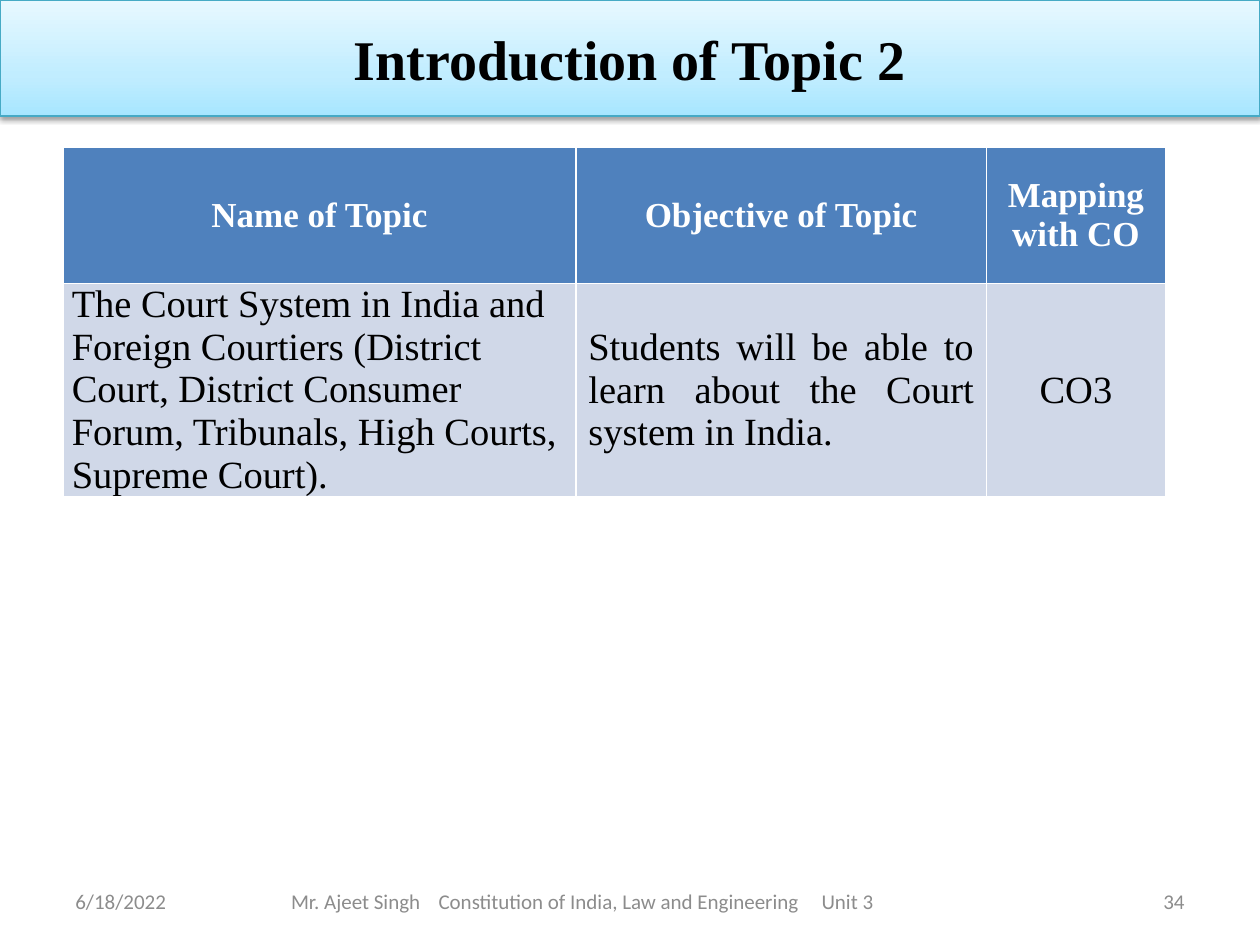
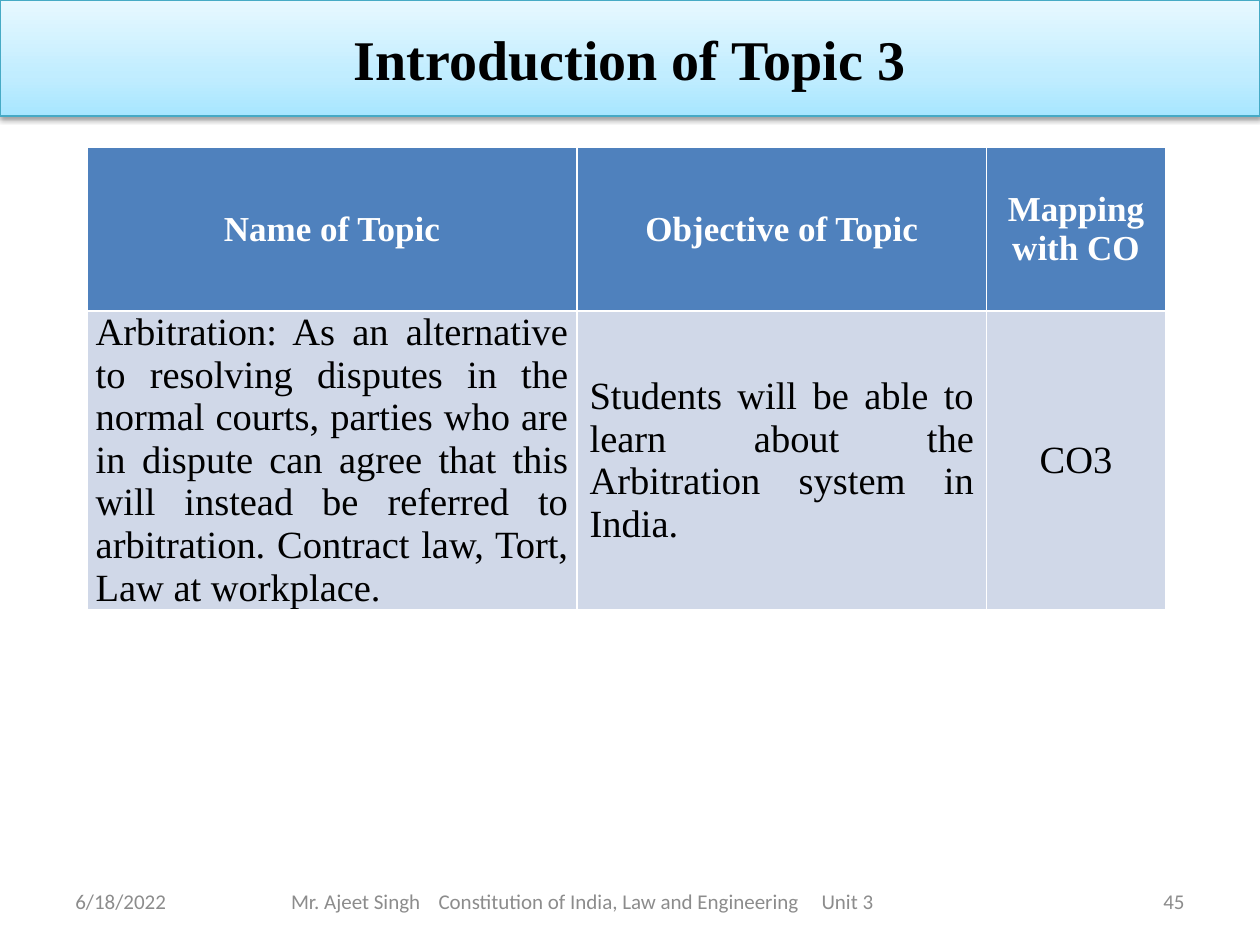
from dataclasses import dataclass

from lxml import etree
from pptx import Presentation
from pptx.dml.color import RGBColor
from pptx.enum.text import MSO_ANCHOR, PP_ALIGN
from pptx.oxml import parse_xml
from pptx.oxml.ns import nsdecls, qn
from pptx.util import Inches, Pt

LEFT, CENTER, RIGHT, JUSTIFY = (
    PP_ALIGN.LEFT, PP_ALIGN.CENTER, PP_ALIGN.RIGHT, PP_ALIGN.JUSTIFY)
TOP, MIDDLE = MSO_ANCHOR.TOP, MSO_ANCHOR.MIDDLE
TITLE_ONLY_LAYOUT = 5


@dataclass(frozen=True)
class Theme:
    serif: str = "Times New Roman"
    sans: str = "Calibri"
    black: str = "000000"
    white: str = "FFFFFF"
    header_fill: str = "4F81BD"
    body_fill: str = "D0D8E8"
    footer_gray: str = "8C8C8C"
    band_line: str = "46AAC5"
    band_stops: tuple = ((0, "A7E6FF"), (35, "C1EDFF"), (100, "E7F8FF"))
    title_size: int = 32
    header_size: int = 20
    body_size: int = 22
    footer_size: int = 12


THEME = Theme()
TABLE_TOP, TABLE_RIGHT = 1.17, 9.25
BODY_ROW_HEIGHT = 1.42
FOOTER_TOP, FOOTER_HEIGHT = 6.95, 0.4
HEADERS = ("Name of Topic", "Objective of Topic", "Mapping with CO")
FOOTER_DATE = "6/18/2022"
FOOTER_TEXT = "Mr. Ajeet Singh\tConstitution of India, Law and Engineering\tUnit 3"
FOOTER_TABS = (1.17, 4.21)

TOPICS = (
    dict(
        title="Introduction of Topic 2", number="34",
        columns=(4.07, 3.26, 1.42), header_height=1.08, name_alignment=LEFT,
        row=("The Court System in India and Foreign Courtiers (District Court, "
             "District Consumer Forum, Tribunals, High Courts, Supreme Court).",
             "Students will be able to learn about the Court system in India.",
             "CO3"),
    ),
    dict(
        title="Introduction of Topic 3", number="45",
        columns=(3.89, 3.25, 1.42), header_height=1.3, name_alignment=JUSTIFY,
        row=("Arbitration: As an alternative to resolving disputes in the normal "
             "courts, parties who are in dispute can agree that this will instead "
             "be referred to arbitration. Contract law, Tort, Law at workplace.",
             "Students will be able to learn about the Arbitration system in India.",
             "CO3"),
    ),
)


def format_text(text_frame, font, size, color, alignment, bold=False):
    for paragraph in text_frame.paragraphs:
        paragraph.alignment = alignment
        for run in paragraph.runs:
            run.font.name = font
            run.font.size = Pt(size)
            run.font.bold = bold
            run.font.color.rgb = RGBColor.from_string(color)


# Title band: gradient, thin outline and soft shadow
def style_band(shape):
    shape.fill.gradient()
    shape.fill.gradient_angle = 90
    properties = shape._element.spPr
    stops = properties.find(".//" + qn("a:gsLst"))
    for stop in list(stops):
        stops.remove(stop)
    for position, color in THEME.band_stops:
        stop = etree.SubElement(stops, qn("a:gs"), pos=str(position * 1000))
        etree.SubElement(stop, qn("a:srgbClr"), val=color)
    shape.line.color.rgb = RGBColor.from_string(THEME.band_line)
    shape.line.width = Pt(0.75)
    properties.append(parse_xml(
        f'<a:effectLst {nsdecls("a")}>'
        '<a:outerShdw blurRad="40000" dist="20000" dir="5400000" rotWithShape="0">'
        '<a:srgbClr val="000000"><a:alpha val="38000"/></a:srgbClr>'
        '</a:outerShdw></a:effectLst>'))


def add_title(slide, text):
    title = slide.shapes.title
    title.left, title.top = Inches(0), Inches(0)
    title.width, title.height = Inches(10), Inches(0.92)
    style_band(title)
    title.text_frame.text = text
    title.text_frame.vertical_anchor = MIDDLE
    format_text(title.text_frame, THEME.serif, THEME.title_size,
                THEME.black, CENTER, bold=True)


# Topic table: one header row and one body row
def fill_cell(cell, text, fill, size, color, alignment, bold=False):
    cell.fill.solid()
    cell.fill.fore_color.rgb = RGBColor.from_string(fill)
    cell.vertical_anchor = MIDDLE
    cell.text_frame.text = text
    format_text(cell.text_frame, THEME.serif, size, color, alignment, bold)


def add_topic_table(slide, columns, header_height, name_alignment, row):
    width = sum(columns)
    table = slide.shapes.add_table(
        2, len(columns), Inches(TABLE_RIGHT - width), Inches(TABLE_TOP),
        Inches(width), Inches(header_height + BODY_ROW_HEIGHT)).table
    table.rows[0].height = Inches(header_height)
    table.rows[1].height = Inches(BODY_ROW_HEIGHT)
    alignments = (name_alignment, JUSTIFY, CENTER)
    for index, column_width in enumerate(columns):
        table.columns[index].width = Inches(column_width)
        fill_cell(table.cell(0, index), HEADERS[index], THEME.header_fill,
                  THEME.header_size, THEME.white, CENTER, bold=True)
        fill_cell(table.cell(1, index), row[index], THEME.body_fill,
                  THEME.body_size, THEME.black, alignments[index])

    name_cell = table.cell(1, 0)
    name_cell.vertical_anchor = TOP
    name_cell.margin_left = name_cell.margin_right = Inches(0.07)
    name_cell.margin_top = name_cell.margin_bottom = Inches(0)


# Footer: date, course line with tab stops, slide number
def add_footer_text(slide, text, left, width, alignment, indent=0.1, tabs=()):
    box = slide.shapes.add_textbox(Inches(left), Inches(FOOTER_TOP),
                                   Inches(width), Inches(FOOTER_HEIGHT))
    text_frame = box.text_frame
    text_frame.word_wrap = True
    text_frame.vertical_anchor = MIDDLE
    text_frame.margin_left = Inches(indent)
    text_frame.text = text
    if tabs:
        properties = text_frame.paragraphs[0]._p.get_or_add_pPr()
        tab_list = etree.SubElement(properties, qn("a:tabLst"))
        for position in tabs:
            etree.SubElement(tab_list, qn("a:tab"),
                             pos=str(Inches(position)), algn="l")
    format_text(text_frame, THEME.sans, THEME.footer_size,
                THEME.footer_gray, alignment)


def add_footer(slide, number):
    add_footer_text(slide, number, 7.17, 2.33, RIGHT)
    add_footer_text(slide, FOOTER_TEXT, 0.67, 7.92, LEFT,
                    indent=1.64, tabs=FOOTER_TABS)
    add_footer_text(slide, FOOTER_DATE, 0.5, 2.33, LEFT)


def add_topic_slide(presentation, title, number, **table_content):
    layout = presentation.slide_layouts[TITLE_ONLY_LAYOUT]
    slide = presentation.slides.add_slide(layout)
    add_title(slide, title)
    add_topic_table(slide, **table_content)
    add_footer(slide, number)


def main():
    presentation = Presentation()
    presentation.slide_width = Inches(10)
    presentation.slide_height = Inches(7.5)
    for topic in TOPICS:
        add_topic_slide(presentation, **topic)
    presentation.save("out.pptx")


if __name__ == "__main__":
    main()
